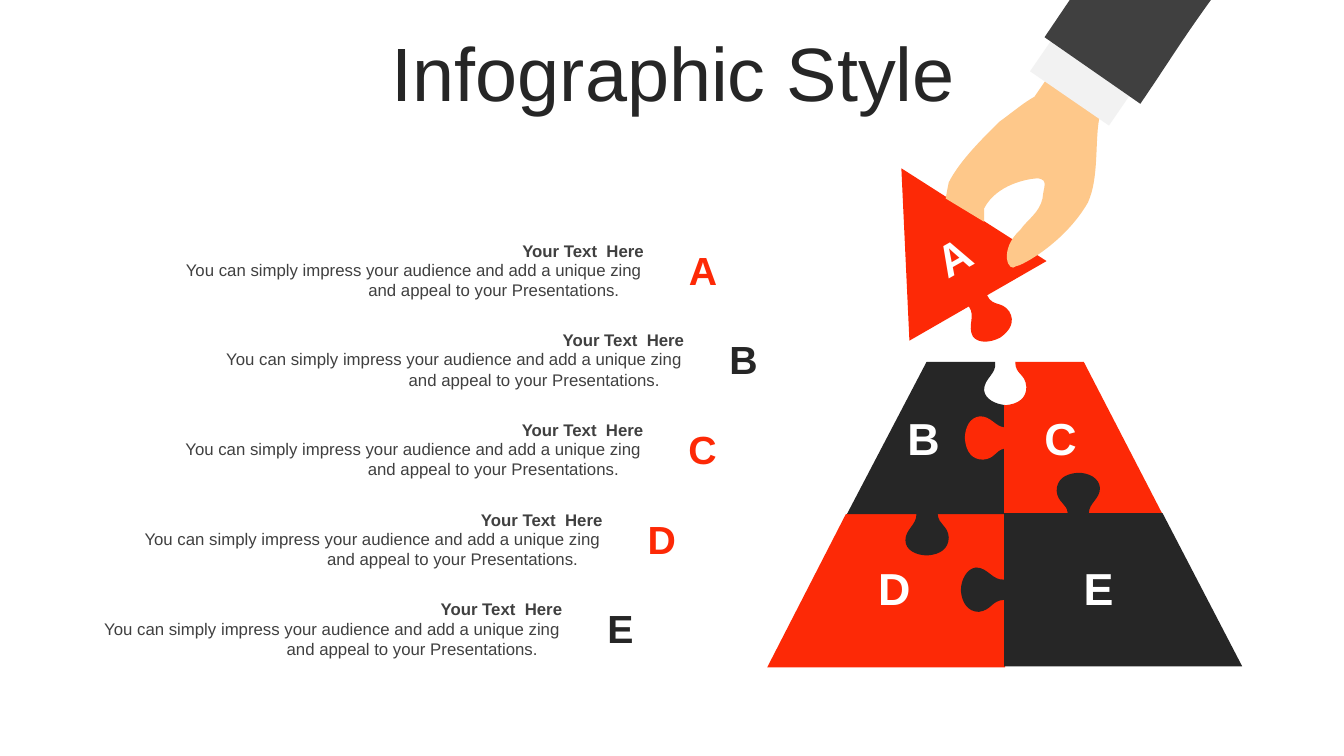
"""Build a puzzle pyramid slide with five captions and a hand placing the top piece."""
from dataclasses import dataclass

from lxml import etree
from pptx import Presentation
from pptx import util as u
from pptx.dml.color import RGBColor
from pptx.enum import shapes, text
from pptx.oxml.ns import qn
from pptx.shapes.base import BaseShape
from pptx.slide import Slide
from pptx.text.text import TextFrame

RED = RGBColor(0xFD, 0x29, 0x06)
DARK = RGBColor(0x26, 0x26, 0x26)
GREY = RGBColor(0x40, 0x40, 0x40)
WHITE = RGBColor(0xFF, 0xFF, 0xFF)
CUFF = RGBColor(0xF2, 0xF2, 0xF2)
SKIN = RGBColor(0xFE, 0xC8, 0x8A)

FONT = "Arial"
HEIGHT = u.Inches(7.5)
WIDTH = u.Inches(13.33)
ROWS = 75
CELL = HEIGHT / ROWS
CAPTION_TOP, CAPTION_PITCH, CAPTION_WIDTH = 23.35, 8.9, 47.5
BODY_HANG = 18.1
HEADING = "Your Text  Here"
BODY = ("You can simply impress your audience and add a unique zing "
        "and appeal to your Presentations.")

Segment = tuple[float, ...]


@dataclass(frozen=True)
class Box:
    """A rectangle in grid cells, turned by a number of degrees."""
    left: float
    top: float
    width: float
    height: float
    turn: float = 0


@dataclass(frozen=True)
class Style:
    """The look of a text, with a hanging indent in grid cells."""
    size: float
    color: RGBColor
    bold: bool = True
    align: text.PP_ALIGN = text.PP_ALIGN.CENTER
    wrap: bool = False
    hang: float = 0


@dataclass(frozen=True)
class Caption:
    """A lettered caption and the column where it starts."""
    letter: str
    color: RGBColor
    left: float


@dataclass(frozen=True)
class Outline:
    """A filled outline: pairs are line ends, sextets are Bezier curves."""
    color: RGBColor
    segments: tuple[Segment, ...]


@dataclass(frozen=True)
class Label:
    """A letter on a puzzle piece."""
    letter: str
    box: Box


CAPTIONS = (
    Caption("A", RED, 17.35),
    Caption("B", DARK, 21.35),
    Caption("C", RED, 17.3),
    Caption("D", RED, 13.25),
    Caption("E", DARK, 9.25),
)

PIECES = (
    Outline(RED, ((83.9, 51), (99.7, 51), (99.7, 66.2), (76.1, 66.2))),
    Outline(RED, (
        (89.4, 16.7), (103.8, 25.9), (97.9, 29.3),
        (98.5, 30.5, 99.3, 29.8, 100.1, 30.9), (100.7, 31.9, 100.2, 32.8, 99.2, 33.5),
        (98.2, 34, 97.1, 34.1, 96.5, 33.4), (95.9, 32.3, 96.8, 31.4, 96.1, 30.4),
        (90.2, 33.8))),
    Outline(DARK, (
        (91.9, 35.9), (98.7, 35.9),
        (98.9, 37.1, 97.6, 37.5, 97.6, 38.7), (97.7, 39.6, 98.7, 40.1, 99.8, 40.2),
        (99.8, 51), (93, 51),
        (93.1, 52.1, 94, 52.1, 94.1, 53.3), (94.1, 54.4, 93.3, 55, 92, 55.1),
        (90.9, 55.1, 89.8, 54.6, 89.8, 53.6), (89.8, 52.5, 90.9, 52.1, 90.9, 51),
        (84, 51))),
    Outline(RED, (
        (100.7, 35.9), (107.5, 35.9), (115.3, 51), (99.6, 51), (99.6, 44.5),
        (98.7, 44.7, 98.7, 45.5, 97.5, 45.6), (96.4, 45.6, 95.8, 44.8, 95.7, 43.5),
        (95.7, 42.4, 96.2, 41.4, 97.2, 41.3), (98.3, 41.3, 98.7, 42.3, 99.6, 42.4),
        (99.6, 40.2), (99.7, 40.2),
        (101, 40.1, 101.8, 39.5, 101.8, 38.4), (101.7, 37, 100.7, 37.2, 100.7, 35.9))),
    Outline(DARK, (
        (106.9, 46.9),
        (108, 46.9, 109, 47.4, 109.1, 48.4), (109.1, 49.5, 108, 49.9, 108, 50.9),
        (115.3, 50.9), (123.2, 66.1), (99.6, 66.1), (99.6, 59.5),
        (98.3, 59.6, 98.4, 60.5, 97.1, 60.7), (96, 60.7, 95.4, 59.8, 95.3, 58.6),
        (95.3, 57.5, 95.9, 56.4, 96.8, 56.3), (98, 56.3, 98.4, 57.6, 99.6, 57.5),
        (99.6, 50.9), (105.9, 50.9),
        (105.8, 49.9, 104.9, 49.9, 104.8, 48.7), (104.8, 47.6, 105.6, 47, 106.9, 46.9))),
)

LABELS = (
    Label("A", Box(92, 22.3, 4.7, 6.4, 330.4)),
    Label("B", Box(89, 40.3, 4.5, 6.4)),
    Label("C", Box(102.6, 40.3, 4.4, 6.4)),
    Label("D", Box(86.1, 55.1, 4.8, 6.4)),
    Label("E", Box(106.5, 55.1, 4.2, 6.4)),
)

HAND = Outline(SKIN, (
    (106.1, 4.5), (112.9, 7),
    (110.7, 9.1, 109.6, 9.7, 109, 11.9), (108.6, 14.2, 109, 17.7, 107.9, 20.1),
    (105.6, 24.1, 101.3, 26.4, 100.8, 26.4), (100, 27.2, 99, 24.8, 101.2, 22.8),
    (101.9, 21.8, 103.1, 21.1, 103.4, 19.7), (103.5, 18.5, 104, 17.9, 103, 17.7),
    (102, 17.7, 98.8, 18.3, 97.6, 20.7), (97.6, 21.1, 97.6, 21.6, 97.6, 22),
    (93.8, 19.7),
    (93.9, 19.1, 94, 18.6, 94.1, 18.1), (95.2, 15.9, 97.7, 13.5, 99.1, 12.1),
    (101, 10.7, 101.4, 10.3, 102.6, 9.6)))
SLEEVE = Outline(GREY, (
    (106.1, 0), (120.1, 0), (117, 4.3, 116.1, 5.9, 113.1, 10.3), (103.6, 3.7)))
CUFF_BOX = Box(102.4, 6.3, 9.5, 3.8, 34.5)


def cells(n: float) -> u.Emu:
    """Turn grid cells into a length."""
    return u.Emu(round(n * CELL))


def place(box: Box) -> tuple[u.Emu, u.Emu, u.Emu, u.Emu]:
    """Give the left, top, width and height of a box."""
    return cells(box.left), cells(box.top), cells(box.width), cells(box.height)


def paint(sp: BaseShape, color: RGBColor) -> None:
    """Fill a shape, without line or shadow."""
    sp.fill.solid()
    sp.fill.fore_color.rgb = color
    sp.line.fill.background()
    sp.shadow.inherit = False


def write(tf: TextFrame, words: str, style: Style) -> None:
    """Write one styled run into a text frame."""
    tf.word_wrap = style.wrap
    p = tf.paragraphs[0]
    p.alignment = style.align
    if style.hang:
        props = p._p.get_or_add_pPr()
        props.set("marL", str(cells(style.hang)))
        props.set("indent", str(-cells(style.hang)))
    r = p.add_run()
    r.text = words
    r.font.name, r.font.size, r.font.bold = FONT, u.Pt(style.size), style.bold
    r.font.color.rgb = style.color


def add_text(s: Slide, box: Box, words: str, style: Style) -> None:
    """Add a text box."""
    sp = s.shapes.add_textbox(*place(box))
    sp.rotation = box.turn
    write(sp.text_frame, words, style)


def add_outline(s: Slide, outline: Outline) -> None:
    """Draw a closed outline, joining each sextet into one Bezier curve."""
    points = [(cells(x), cells(y)) for seg in outline.segments
              for x, y in zip(seg[::2], seg[1::2])]
    builder = s.shapes.build_freeform(*points[0])
    builder.add_line_segments(points[1:], close=True)
    sp = builder.convert_to_shape()
    lines = iter(list(sp._element.iter(qn("a:lnTo"))))
    for seg in outline.segments[1:]:
        first = next(lines)
        if len(seg) == 6:
            curve = etree.Element(qn("a:cubicBezTo"))
            first.addprevious(curve)
            for line in (first, next(lines), next(lines)):
                curve.append(line[0])
                line.getparent().remove(line)
    paint(sp, outline.color)


def add_caption(s: Slide, caption: Caption, row: int) -> None:
    """Add a heading, its body text and its letter."""
    left, top = caption.left, CAPTION_TOP + row * CAPTION_PITCH
    add_text(s, Box(left + 50, top + 0.55, 4.5, 5.7), caption.letter, Style(28, caption.color))
    add_text(s, Box(left + 0.1, top + 1.9, CAPTION_WIDTH, 5), BODY,
             Style(12, GREY, False, text.PP_ALIGN.LEFT, True, BODY_HANG))
    add_text(s, Box(left, top, CAPTION_WIDTH, 3), HEADING,
             Style(12, GREY, True, text.PP_ALIGN.RIGHT, True))


def add_title(s: Slide) -> None:
    """Place and format the title."""
    sp = s.shapes.title
    sp.left, sp.top, sp.width, sp.height = place(Box(3.5, 3.7, 126.6, 7.9))
    tf = sp.text_frame
    tf.vertical_anchor = text.MSO_ANCHOR.MIDDLE
    write(tf, "Infographic Style", Style(54, DARK, bold=False, wrap=True))
    tf.paragraphs[0].line_spacing = 0.9


def main() -> None:
    """Build and save the slide."""
    prs = Presentation()
    prs.slide_width, prs.slide_height = WIDTH, HEIGHT
    s = prs.slides.add_slide(prs.slide_layouts[5])
    add_title(s)
    for row, caption in enumerate(CAPTIONS):
        add_caption(s, caption, row)
    for piece in PIECES:
        add_outline(s, piece)
    for label in LABELS:
        add_text(s, label.box, label.letter, Style(32, WHITE))
    add_outline(s, HAND)
    cuff = s.shapes.add_shape(shapes.MSO_SHAPE.RECTANGLE, *place(CUFF_BOX))
    cuff.rotation = CUFF_BOX.turn
    paint(cuff, CUFF)
    add_outline(s, SLEEVE)
    prs.save("out.pptx")


if __name__ == "__main__":
    main()
